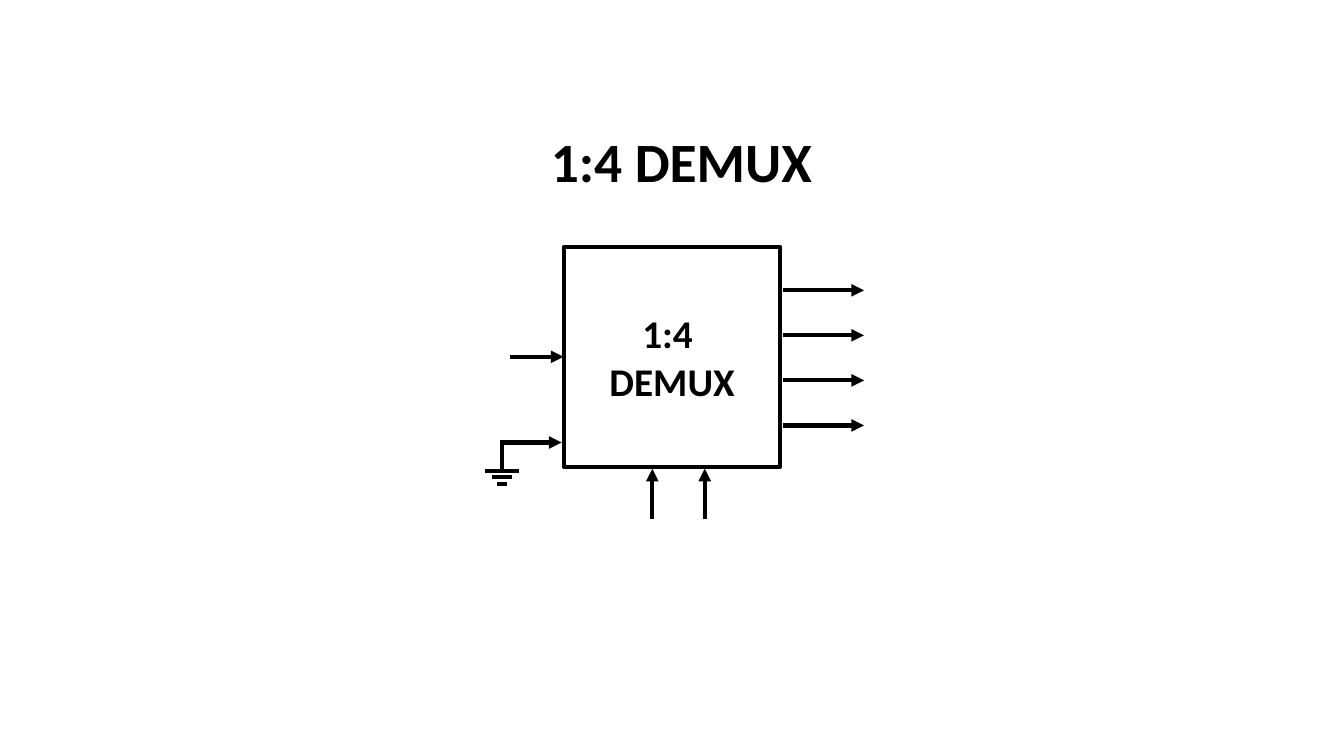
from pptx import Presentation
from pptx.dml.color import RGBColor
from pptx.enum.shapes import MSO_CONNECTOR, MSO_SHAPE
from pptx.enum.text import MSO_ANCHOR, PP_ALIGN
from pptx.oxml.ns import qn
from pptx.util import Inches, Pt
from lxml.etree import SubElement

BLACK = RGBColor(0, 0, 0)
LEFT = 1


def set_text(shape, text, size, space=None):
    frame = shape.text_frame
    frame.word_wrap = True
    frame.vertical_anchor = MSO_ANCHOR.MIDDLE
    frame.text = text
    for line in frame.paragraphs:
        line.alignment = PP_ALIGN.CENTER
        line.line_spacing = space
        for run in line.runs:
            run.font.name = "Calibri"
            run.font.size = Pt(size)
            run.font.bold = True
            run.font.color.rgb = BLACK


def add_title(slide, text):
    box = slide.shapes.add_textbox(
        Inches(5.28), Inches(1.31), Inches(2.96), Inches(0.69))
    set_text(box, text, 39.6, 0.8)


def add_block(slide, text):
    block = slide.shapes.add_shape(
        MSO_SHAPE.RECTANGLE,
        Inches(5.59), Inches(2.45), Inches(2.15), Inches(2.18))
    block.shadow.inherit = False
    block.fill.background()
    block.line.color.rgb = BLACK
    block.line.width = Pt(3)
    set_text(block, text, 28)
    return block


def add_wire(slide, x1, y1, x2, y2):
    wire = slide.shapes.add_connector(
        MSO_CONNECTOR.STRAIGHT,
        Inches(x1), Inches(y1), Inches(x2), Inches(y2))
    wire.line.color.rgb = BLACK
    wire.line.width = Pt(3)
    SubElement(wire._element.spPr, qn("a:effectLst"))
    return wire


def add_arrow(slide, x1, y1, x2, y2):
    arrow = add_wire(slide, x1, y1, x2, y2)
    line = arrow.line._get_or_add_ln()
    SubElement(line, qn("a:tailEnd"), type="triangle")
    return arrow


def add_ground(slide, x, top, base):
    add_wire(slide, x, top, x, base)
    for row, width in enumerate((0.34, 0.2, 0.1)):
        y = base + row * 0.065
        add_wire(slide, x - width / 2, y, x + width / 2, y)


def main():
    deck = Presentation()
    deck.slide_width = Inches(13.33)
    deck.slide_height = Inches(7.5)
    slide = deck.slides.add_slide(deck.slide_layouts[6])

    add_title(slide, "1:4 DEMUX")
    block = add_block(slide, "1:4 \nDEMUX")

    data = add_arrow(slide, 5.06, 3.54, 5.59, 3.54)
    data.end_connect(block, LEFT)
    add_arrow(slide, 4.96, 4.39, 5.57, 4.39)
    add_ground(slide, 4.98, 4.37, 4.67)

    for row in range(4):
        y = 2.88 + row * 0.447
        add_arrow(slide, 7.77, y, 8.57, y)
    for x in (6.47, 6.99):
        add_arrow(slide, x, 5.15, x, 4.65)

    deck.save("out.pptx")


if __name__ == "__main__":
    main()
